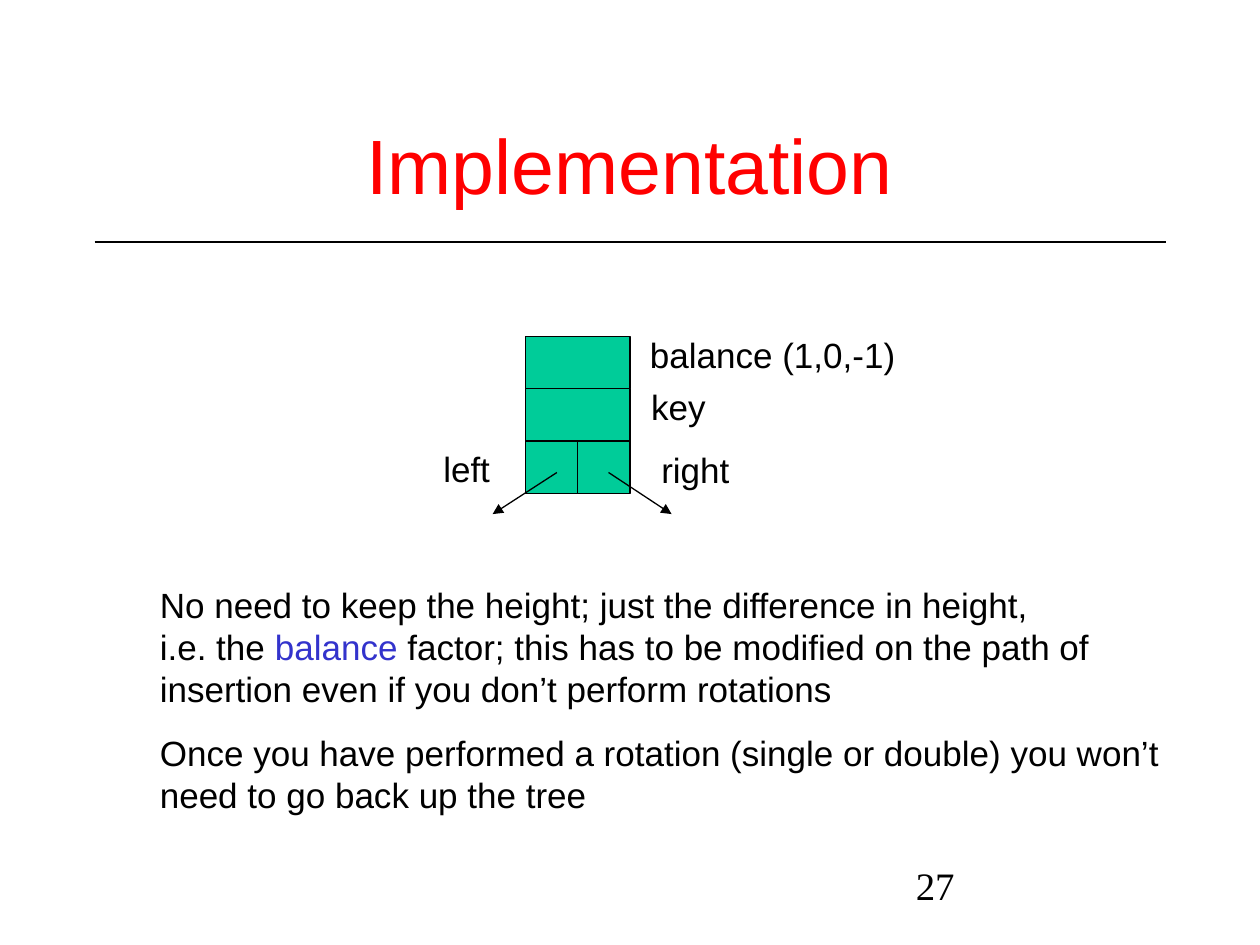
from pptx import Presentation
from pptx.dml.color import RGBColor
from pptx.enum.shapes import MSO_CONNECTOR as Conn, MSO_SHAPE as Shape
from pptx.enum.text import MSO_ANCHOR as Anchor, PP_ALIGN as Align
from pptx.oxml.ns import qn
from pptx.util import Inches, Pt
from lxml.etree import SubElement

rgb = RGBColor.from_string

deck = Presentation()
deck.slide_width, deck.slide_height = Inches(10), Inches(7.5)
slide = deck.slides.add_slide(deck.slide_layouts[6])
shapes = slide.shapes


def add_text(text, x, y, w, h, size=20, color="000000", face="Arial", wrap=True):
    box = shapes.add_textbox(Inches(x), Inches(y), Inches(w), Inches(h))
    frame = box.text_frame
    frame.word_wrap = wrap
    frame.text = text
    for para in frame.paragraphs:
        para.font.size = Pt(size)
        para.font.name = face
        para.font.color.rgb = rgb(color)
    return frame


def add_line(x1, y1, x2, y2, arrow=False):
    line = shapes.add_connector(
        Conn.STRAIGHT, Inches(x1), Inches(y1), Inches(x2), Inches(y2))
    line.line.color.rgb = rgb("000000")
    line.line.width = Pt(0.75)
    if arrow:
        SubElement(line.line._get_or_add_ln(), qn("a:tailEnd"), type="triangle")
    SubElement(line._element.spPr, qn("a:effectLst"))


# Title, rule and page number
add_line(0.75, 1.92, 9.25, 1.92)
add_text("27", 7.17, 6.83, 2.08, 0.5, 22.2, face="Times New Roman").paragraphs[0].line_spacing = 0.9
title = add_text("Implementation", 0.75, 0.67, 8.5, 1.25, 44, "FF0000")
title.vertical_anchor = Anchor.MIDDLE
title.paragraphs[0].alignment = Align.CENTER

# Node cells: two pointers below, key and balance above
left, top, side = 4.17, 2.67, 0.415
for col, row, span in [(0, 2, 1), (1, 2, 1), (0, 1, 2), (0, 0, 2)]:
    cell = shapes.add_shape(
        Shape.RECTANGLE, Inches(left + col * side), Inches(top + row * side),
        Inches(span * side), Inches(side))
    cell.shadow.inherit = False
    cell.fill.solid()
    cell.fill.fore_color.rgb = rgb("00CC99")
    cell.line.color.rgb = rgb("000000")
    cell.line.width = Pt(0.75)

# Child pointers
for start, end in [(4.42, 3.91), (4.83, 5.33)]:
    add_line(start, 3.75, end, 4.08, arrow=True)

# Field labels
for label, x, y, w in [
    ("balance (1,0,-1)", 5.06, 2.6, 2.15),
    ("key", 5.07, 3.01, 0.63),
    ("right", 5.15, 3.51, 0.74),
    ("left", 3.42, 3.5, 0.57),
]:
    add_text(label, x, y, w, 0.44, wrap=False)

# Notes on the balance factor
body = add_text("", 1.17, 4.58, 8.25, 1.94)
first = body.paragraphs[0]
first.add_run().text = "No need to keep the height; just the difference in height,"
first.add_line_break()
first.add_run().text = "i.e. the "
word = first.add_run()
word.text = "balance"
word.font.color.rgb = rgb("3333CC")
first.add_run().text = (" factor; this has to be modified on the path of "
                        "insertion even if you don’t perform rotations")
last = body.add_paragraph()
last.text = ("Once you have performed a rotation (single or double) you won’t "
             "need to go back up the tree")
last.space_before = Pt(12.5)
last.font.size = Pt(20)
last.font.name = "Arial"
last.font.color.rgb = rgb("000000")

deck.save("out.pptx")
